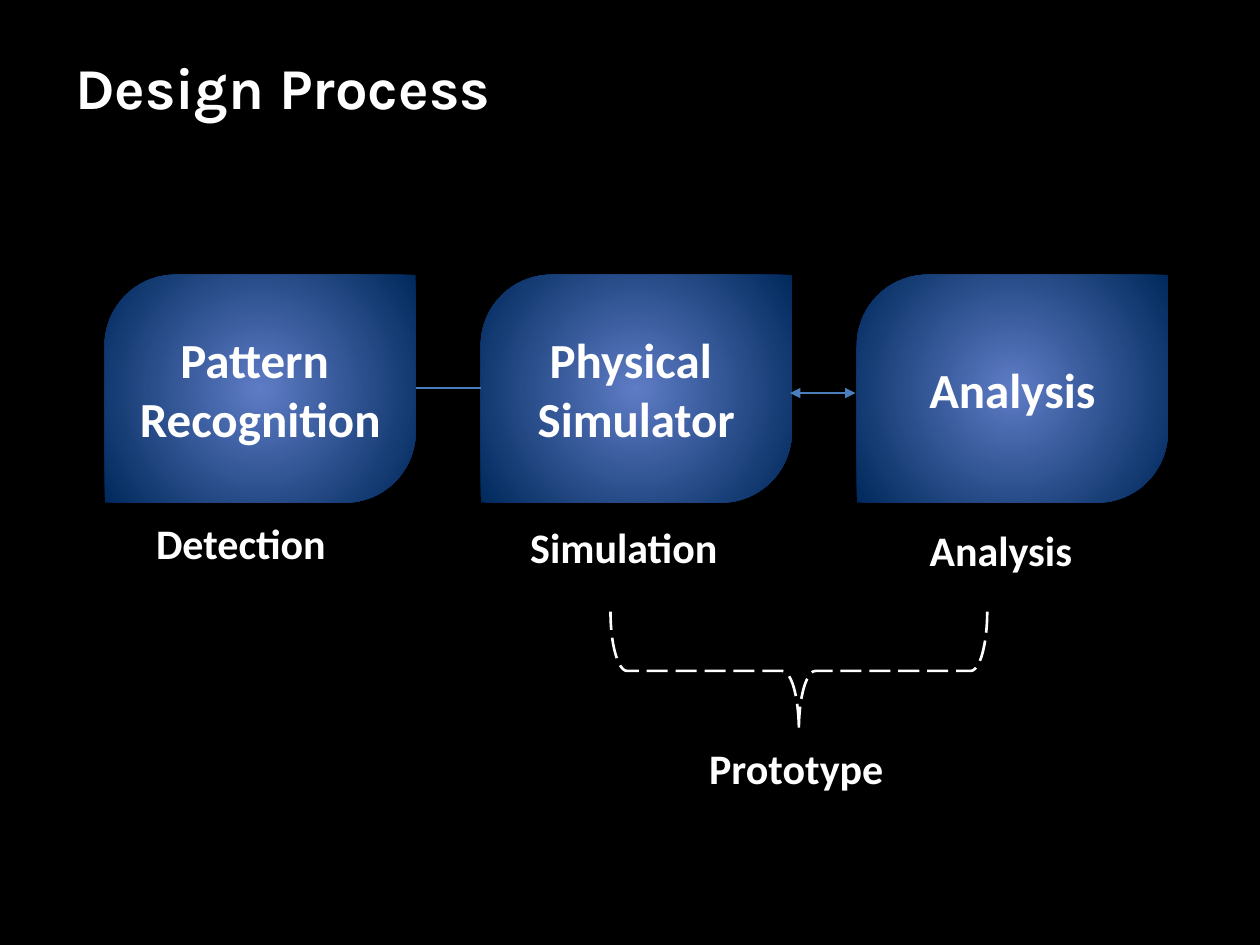
from dataclasses import dataclass

from lxml import etree
from pptx import Presentation
from pptx import util as u
from pptx.dml.color import RGBColor
from pptx.enum import dml, shapes, text
from pptx.oxml import ns


@dataclass(frozen=True)
class Theme:
    """Colours, fonts and type sizes."""
    back: str = "000000"
    ink: str = "FFFFFF"
    link: str = "4B7EBC"
    glow: str = "5E7CC5"
    deep: str = "00295C"
    head: str = "Karla"
    body: str = "Calibri"
    title: int = 33
    step: int = 28
    label: int = 24


def rgb(hue):
    """Turn a hex string into a colour."""
    return RGBColor.from_string(hue)


def put(item, form):
    """Set each format value on an item."""
    for key, val in form.items():
        setattr(item, key, val)


def sub(node, tag, **attrs):
    """Add a drawing element below a node."""
    return etree.SubElement(node, ns.qn(tag), attrs)


class Deck:
    """Hold the style and the slide, on a grid of 100 columns by 75 rows."""

    def __init__(self, theme):
        """Open a blank slide with a plain background."""
        self.theme = theme
        self.show = Presentation()
        put(self.show, {"slide_width": u.Inches(10), "slide_height": u.Inches(7.5)})
        self.cell = self.show.slide_width // 100
        self.page = self.show.slides.add_slide(self.show.slide_layouts[6])
        fill = self.page.background.fill
        fill.solid()
        fill.fore_color.rgb = rgb(theme.back)

    def grid(self, *spans):
        """Turn columns and rows into lengths."""
        return [round(span * self.cell) for span in spans]

    def words(self, shape, lines, size, font, para):
        """Fill a shape with bold lines of text."""
        frame = shape.text_frame
        frame.word_wrap = True
        frame.text = "\n".join(lines)
        for line in frame.paragraphs:
            put(line, para)
            for run in line.runs:
                put(run.font, {"size": u.Pt(size), "name": font, "bold": True})
                run.font.color.rgb = rgb(self.theme.ink)
        return frame

    def note(self, line, box, size, font, **para):
        """Add a line of free text."""
        area = self.page.shapes.add_textbox(*self.grid(*box))
        self.words(area, [line], size, font, para)

    def shape(self, kind, box, *bends):
        """Add a preset shape without a shadow."""
        item = self.page.shapes.add_shape(kind, *self.grid(*box))
        item.shadow.inherit = False
        for spot, bend in enumerate(bends):
            item.adjustments[spot] = bend
        return item

    def step(self, lines, box):
        """Add a glowing block for one step."""
        item = self.shape(shapes.MSO_SHAPE.ROUND_2_DIAG_RECTANGLE, box, 0.31, 0)
        item.line.fill.background()
        item.fill.gradient()
        grad = item._element.spPr.find(ns.qn("a:gradFill"))
        for kid in list(grad):
            grad.remove(kid)
        stops = sub(grad, "a:gsLst")
        for pos, hue in (("0", self.theme.glow), ("100000", self.theme.deep)):
            sub(sub(stops, "a:gs", pos=pos), "a:srgbClr", val=hue)
        ring = sub(grad, "a:path", path="circle")
        sub(ring, "a:fillToRect", **dict.fromkeys("ltrb", "50000"))
        frame = self.words(item, lines, self.theme.step, self.theme.body,
                           {"alignment": text.PP_ALIGN.CENTER})
        frame.vertical_anchor = text.MSO_ANCHOR.MIDDLE

    def link(self, left, right, row, ends=()):
        """Join two steps by a level line."""
        line = self.page.shapes.add_connector(
            shapes.MSO_CONNECTOR.STRAIGHT, *self.grid(left, row, right, row))
        line.line.width = u.Pt(0.75)
        line.line.color.rgb = rgb(self.theme.link)
        pen = line._element.spPr.find(ns.qn("a:ln"))
        for end in ends:
            sub(pen, end, type="triangle")
        sub(line._element.spPr, "a:effectLst")

    def brace(self, box):
        """Add a dashed brace that points down."""
        left, top, wide, high = box
        turned = (left + (wide - high) / 2, top + (high - wide) / 2, high, wide)
        item = self.shape(shapes.MSO_SHAPE.RIGHT_BRACE, turned, 0.14, 0.5)
        item.rotation = 90
        item.fill.background()
        item.line.color.rgb = rgb(self.theme.ink)
        put(item.line, {"width": u.Pt(1.5), "dash_style": dml.MSO_LINE.LONG_DASH})


def main():
    """Build the slide and save it."""
    theme = Theme()
    deck = Deck(theme)
    left, pitch, wide = 8.3, 29.85, 24.7
    steps = (["Pattern ", "Recognition"], ["Physical ", "Simulator"], ["Analysis"])
    for place, lines in enumerate(steps):
        deck.step(lines, (left + place * pitch, 21.8, wide, 18.1))
    deck.link(left + wide, left + pitch, 30.8)
    deck.note("Design Process", (5, 3.6, 90, 63.4), theme.title, theme.head,
              space_before=u.Pt(6.6))
    labels = (("Detection ", 11.4, 40.6, 17.3), ("Simulation ", 41.1, 40.9, 17.1),
              ("Analysis ", 72.8, 41.1, 14.2), ("Prototype", 55.3, 58.4, 16.5))
    for name, col, row, span in labels:
        deck.note(name, (col, row, span, 5), theme.label, theme.body)
    deck.link(62.7, 67.9, 31.2, ("a:headEnd", "a:tailEnd"))
    deck.brace((48.45, 48.55, 29.9, 9.4))
    deck.show.save("out.pptx")


if __name__ == "__main__":
    main()
